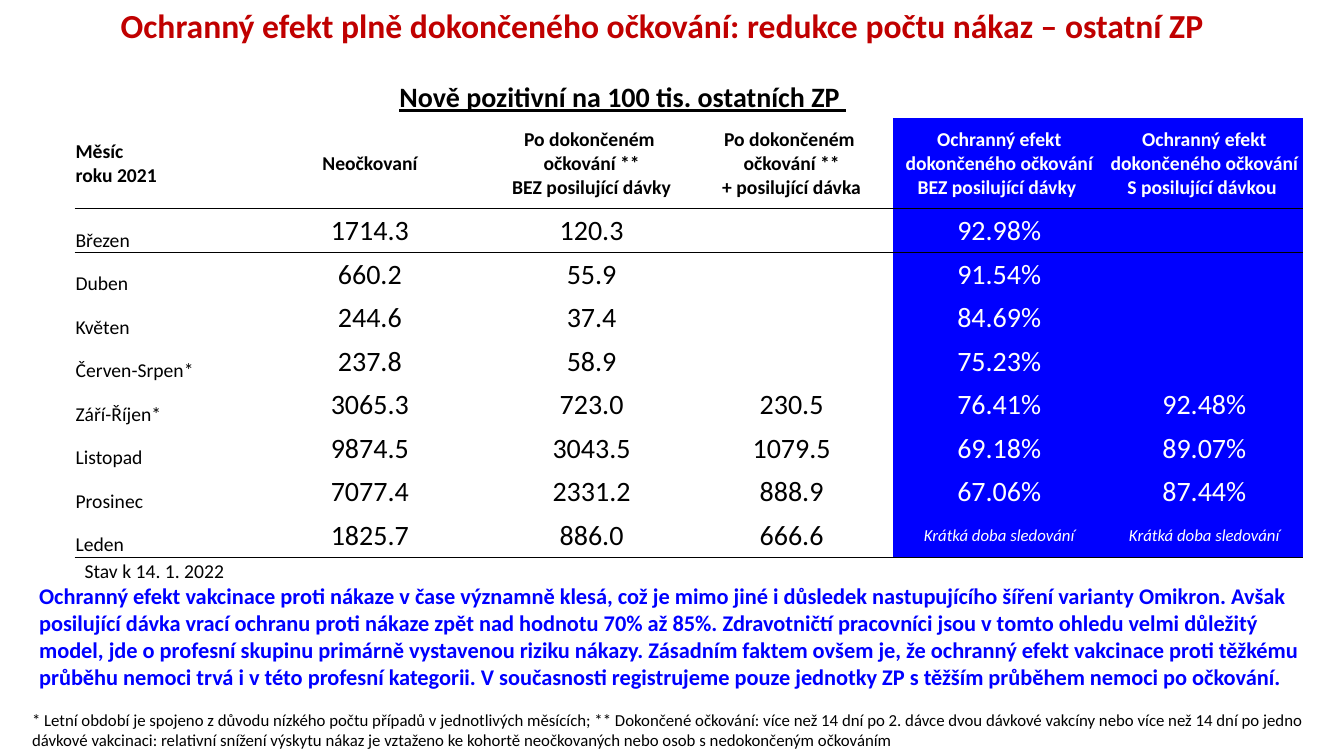
from dataclasses import dataclass

from lxml.etree import SubElement
from pptx import Presentation
from pptx.dml.color import RGBColor
from pptx.enum.text import MSO_ANCHOR, PP_ALIGN
from pptx.oxml import parse_xml
from pptx.oxml.ns import nsdecls, qn
from pptx.slide import Slide
from pptx.table import _Cell
from pptx.text.text import TextFrame
from pptx.util import Pt

COLORS = {"black": "000000", "white": "FFFFFF", "red": "C00000", "blue": "0000FF"}
NO_STYLE = "{2D5ABB26-0587-4C30-8999-92F81FD0307C}"
COL_WIDTHS = [123.1, 175.7, 141.1, 144.7, 151.9, 141.1]
ROW_HEIGHT, HEADER_HEIGHT = 31.1, 64.8
FIRST_EFFECT_COL = 4
SHORT = "Krátká doba sledování"
HEADERS = [
    "Měsíc\nroku 2021",
    "Neočkovaní",
    "Po dokončeném \nočkování **\nBEZ posilující dávky",
    "Po dokončeném \nočkování **\n+ posilující dávka",
    "Ochranný efekt dokončeného očkování BEZ posilující dávky ",
    "Ochranný efekt dokončeného očkování S posilující dávkou ",
]
MONTHS = [
    ["Březen", "1714.3", "120.3", "", "92.98%", ""],
    ["Duben", "660.2", "55.9", "", "91.54%", ""],
    ["Květen", "244.6", "37.4", "", "84.69%", ""],
    ["Červen-Srpen*", "237.8", "58.9", "", "75.23%", ""],
    ["Září-Říjen*", "3065.3", "723.0", "230.5", "76.41%", "92.48%"],
    ["Listopad", "9874.5", "3043.5", "1079.5", "69.18%", "89.07%"],
    ["Prosinec", "7077.4", "2331.2", "888.9", "67.06%", "87.44%"],
    ["Leden", "1825.7", "886.0", "666.6", SHORT, SHORT],
]


@dataclass
class Label:
    """A text box with its place and format."""

    text: str
    left: float
    top: float
    width: float
    height: float
    size: float
    color: str = "black"
    bold: bool = False
    underline: bool = False
    align: PP_ALIGN = PP_ALIGN.LEFT
    line_spacing: float = 1.0


LABELS = [
    Label("Ochranný efekt plně dokončeného očkování: redukce počtu nákaz – ostatní ZP",
          15.8, 2.9, 914.4, 104.4, 24, "red", bold=True,
          align=PP_ALIGN.CENTER, line_spacing=0.9),
    Label("Nově pozitivní na 100 tis. ostatních ZP ", 274.3, 53.3, 341.3, 31.7, 20,
          bold=True, underline=True, align=PP_ALIGN.CENTER),
    Label("* Letní období je spojeno z důvodu nízkého počtu případů v jednotlivých měsících; "
          "** Dokončené očkování: více než 14 dní po 2. dávce dvou dávkové vakcíny nebo více "
          "než 14 dní po jedno dávkové vakcinaci: relativní snížení výskytu nákaz je vztaženo "
          "ke kohortě neočkovaných nebo osob s nedokončeným očkováním",
          15.8, 503.3, 935.3, 36, 12),
    Label("Ochranný efekt vakcinace proti nákaze v čase významně klesá, což je mimo jiné "
          "i důsledek nastupujícího šíření varianty Omikron. Avšak posilující dávka vrací "
          "ochranu proti nákaze zpět nad hodnotu 70% až 85%. Zdravotničtí pracovníci jsou "
          "v tomto ohledu velmi důležitý model, jde o profesní skupinu primárně vystavenou "
          "riziku nákazy. Zásadním faktem ovšem je, že ochranný efekt vakcinace proti těžkému "
          "průběhu nemoci trvá i v této profesní kategorii. V současnosti registrujeme pouze "
          "jednotky ZP s těžším průběhem nemoci po očkování.",
          20.9, 412.6, 926.6, 85, 16, "blue", bold=True),
    Label("Stav k 14. 1. 2022", 53.3, 396, 159.1, 24.5, 14),
]


def write(tf: TextFrame, text: str, *, size: float, color: str = "black",
          bold: bool = False, italic: bool = False, underline: bool = False,
          align: PP_ALIGN = PP_ALIGN.LEFT, line_spacing: float = 1.0) -> None:
    """Fill a text frame with one formatted paragraph per line of text."""
    for i, line in enumerate(text.split("\n")):
        p = tf.add_paragraph() if i else tf.paragraphs[0]
        p.alignment, p.line_spacing = align, line_spacing
        font = p.font
        if line:
            r = p.add_run()
            r.text = line
            font = r.font
        font.name, font.size = "Calibri", Pt(size)
        font.bold, font.italic, font.underline = bold, italic, underline
        font.color.rgb = RGBColor.from_string(COLORS[color])


def add_label(s: Slide, label: Label) -> None:
    """Draw a label as a wrapping text box."""
    sp = s.shapes.add_textbox(Pt(label.left), Pt(label.top), Pt(label.width), Pt(label.height))
    tf = sp.text_frame
    tf.word_wrap = True
    write(tf, label.text, size=label.size, color=label.color, bold=label.bold,
          underline=label.underline, align=label.align, line_spacing=label.line_spacing)


def add_border(cell: _Cell, side: str) -> None:
    """Put a thin black line on one side of a cell."""
    ln = parse_xml(f'<a:{side} {nsdecls("a")} w="12700"/>')
    fill = SubElement(ln, qn("a:solidFill"))
    SubElement(fill, qn("a:srgbClr"), val=COLORS["black"])
    cell._tc.get_or_add_tcPr().insert(0, ln)


def format_cell(cell: _Cell, text: str, col: int, header: bool) -> None:
    """Write a table cell in the format of its column."""
    effect = col >= FIRST_EFFECT_COL
    if effect:
        cell.fill.solid()
        cell.fill.fore_color.rgb = RGBColor.from_string(COLORS["blue"])
    else:
        cell.fill.background()
    cell.margin_left = cell.margin_right = cell.margin_top = Pt(0.7)
    cell.margin_bottom = Pt(0)
    month = col == 0 and not header
    cell.vertical_anchor = MSO_ANCHOR.BOTTOM if month else MSO_ANCHOR.MIDDLE
    size = 14 if header or month else 12 if text == SHORT else 20
    write(cell.text_frame, text, size=size, color="white" if effect else "black",
          bold=header, italic=text == SHORT,
          align=PP_ALIGN.CENTER if col else PP_ALIGN.LEFT)


def add_effect_table(s: Slide) -> None:
    """Draw the table of monthly rates and protective effects."""
    rows = [HEADERS, *MONTHS]
    heights = [ROW_HEIGHT, HEADER_HEIGHT] + [ROW_HEIGHT] * len(MONTHS)
    table = s.shapes.add_table(len(heights), len(COL_WIDTHS), Pt(53.3), Pt(53.3),
                               Pt(sum(COL_WIDTHS)), Pt(sum(heights))).table
    table._tbl.tblPr.find(qn("a:tableStyleId")).text = NO_STYLE
    table.first_row = table.horz_banding = False
    for column, width in zip(table.columns, COL_WIDTHS):
        column.width = Pt(width)
    for row, height in zip(table.rows, heights):
        row.height = Pt(height)
    for cell in table.rows[0].cells:
        cell.fill.background()
    table.cell(0, 2).merge(table.cell(0, 5))
    for i, texts in enumerate(rows, start=1):
        for col, text in enumerate(texts):
            cell = table.cell(i, col)
            format_cell(cell, text, col, header=i == 1)
            if i in (1, len(rows)):
                add_border(cell, "lnB")
            elif i == 2:
                add_border(cell, "lnT")


def main() -> None:
    """Build and save the slide."""
    prs = Presentation()
    prs.slide_width, prs.slide_height = Pt(960), Pt(540)
    s = prs.slides.add_slide(prs.slide_layouts[6])
    add_effect_table(s)
    for label in LABELS:
        add_label(s, label)
    prs.save("out.pptx")


if __name__ == "__main__":
    main()
